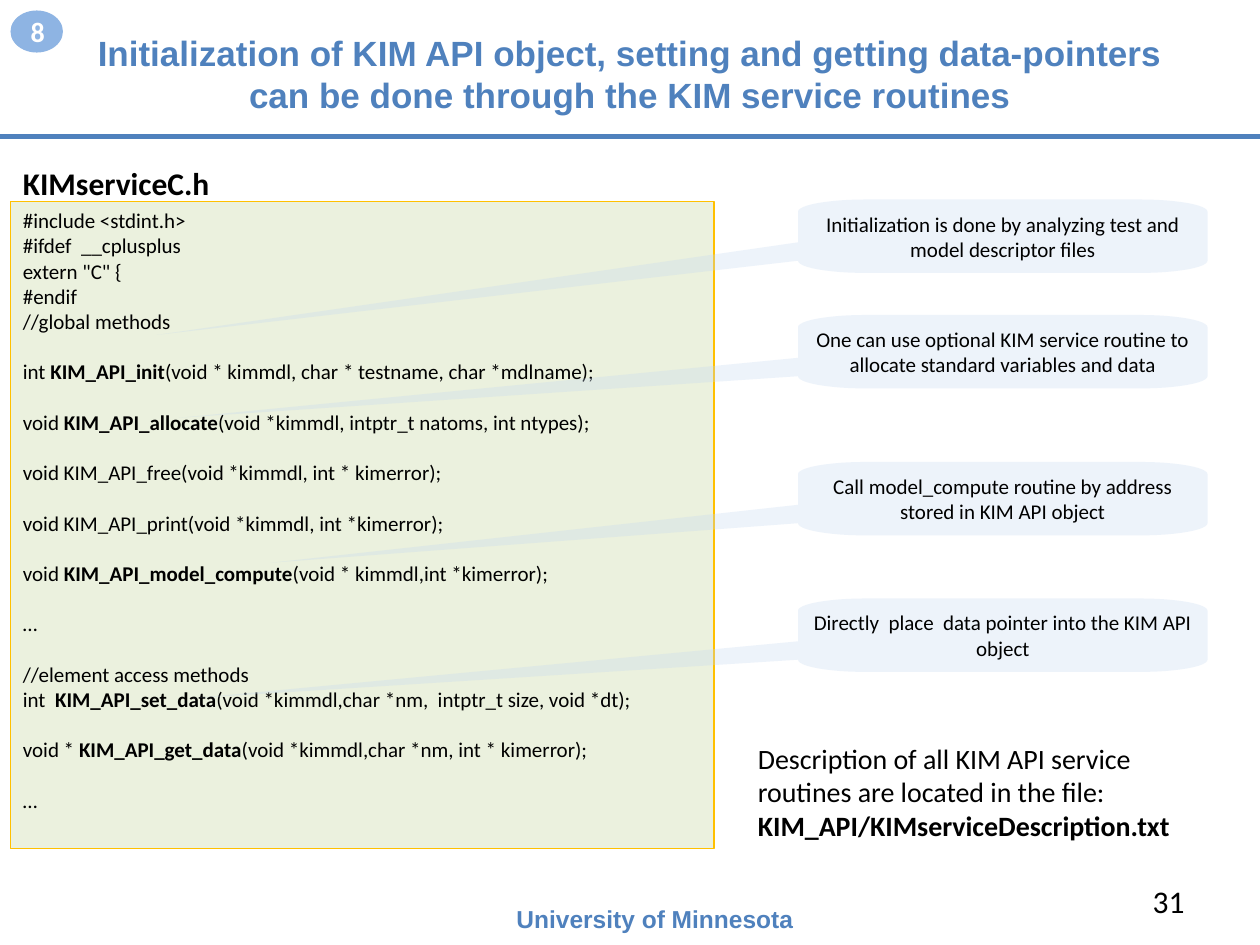
import math
from dataclasses import dataclass

from lxml import etree
from pptx import Presentation
from pptx import util as u
from pptx.dml.color import RGBColor
from pptx.enum import shapes, text
from pptx.oxml.ns import qn

BLUE = RGBColor(0x4F, 0x81, 0xBD)
BADGE = RGBColor(0x8E, 0xB4, 0xE3)
CALLOUT = RGBColor(0xC6, 0xD9, 0xF1)
CODE_FILL = RGBColor(0xEB, 0xF1, 0xDE)
CODE_LINE = RGBColor(0xFF, 0xC0, 0x00)
BLACK = RGBColor(0, 0, 0)
WHITE = RGBColor(255, 255, 255)

LEFT, CENTER, RIGHT = text.PP_ALIGN.LEFT, text.PP_ALIGN.CENTER, text.PP_ALIGN.RIGHT
TOP, MIDDLE = text.MSO_ANCHOR.TOP, text.MSO_ANCHOR.MIDDLE
COLS, ROWS = 120, 90  # grid over the whole slide


@dataclass
class Box:
    col: float
    row: float
    cols: float
    rows: float

    def emu(self) -> list[int]:
        return [grid(n) for n in (self.col, self.row, self.cols, self.rows)]


@dataclass
class Style:
    size: float
    color: RGBColor = BLACK
    name: str = "Calibri"
    bold: bool = False
    align: text.PP_ALIGN = LEFT
    anchor: text.MSO_ANCHOR = TOP


@dataclass
class Callout:
    row: float
    tip: tuple[float, float]
    label: str


def grid(n: float) -> int:
    """Length of n grid cells, which are square."""
    return round(u.Inches(10) * n / COLS)


def write(sp, blocks: list[list[str]], st: Style) -> None:
    """Write blocks of lines, one line apart; |bars| switch bold on and off."""
    tf = sp.text_frame
    for key, value in {"word_wrap": True, "vertical_anchor": st.anchor}.items():
        setattr(tf, key, value)
    p = tf.paragraphs[0]
    for b, block in enumerate(blocks):
        for i, line in enumerate(block):
            if b or i:
                p = tf.add_paragraph()
            p.alignment = st.align
            if b and not i:
                p.space_before = u.Pt(st.size * 1.2)
            for k, part in enumerate(line.split("|")):
                if not part:
                    continue
                r = p.add_run()
                r.text = part
                r.font.color.rgb = st.color
                fmt = {"name": st.name, "size": u.Pt(st.size), "bold": st.bold or k % 2 == 1}
                for key, value in fmt.items():
                    setattr(r.font, key, value)


def paint(sp, fill: RGBColor, line: RGBColor | None = None) -> None:
    sp.shadow.inherit = False
    sp.fill.solid()
    sp.fill.fore_color.rgb = fill
    if line is None:
        sp.line.fill.background()
    else:
        sp.line.color.rgb = line
        sp.line.width = u.Pt(0.75)


def add_text(s, box: Box, lines: list[str], st: Style) -> None:
    write(s.shapes.add_textbox(*box.emu()), [lines], st)


def add_panel(s, kind, box: Box, fill, line, blocks, st: Style) -> None:
    sp = s.shapes.add_shape(kind, *box.emu())
    paint(sp, fill, line)
    write(sp, blocks, st)


def callout_outline(box: Box, tip: tuple[float, float]) -> list[tuple[int, int]]:
    """Box with elliptical corners of a sixth of each side, and a tail on the left."""
    rx, ry = box.cols / 6, box.rows / 6
    x0, y0 = box.col + rx, box.row + ry
    x1, y1 = box.col + box.cols - rx, box.row + box.rows - ry
    pts = [(box.col, box.row + box.rows * 7 / 12), tip]
    for cx, cy, start in ((x0, y1, 180), (x1, y1, 90), (x1, y0, 0), (x0, y0, -90)):
        for step in range(13):
            a = math.radians(start - step * 7.5)
            pts.append((cx + rx * math.cos(a), cy + ry * math.sin(a)))
    return [(grid(x), grid(y)) for x, y in pts]


def add_callout(s, c: Callout) -> None:
    box = Box(76, c.row, 39, 7)
    pts = callout_outline(box, c.tip)
    fb = s.shapes.build_freeform(*pts[0])
    fb.add_line_segments(pts[1:], close=True)
    sp = fb.convert_to_shape()
    # Frame the body only, so that the tail reaches out of the text area
    left, top, width, height = box.emu()
    dx, dy = left - sp.left, top - sp.top
    for pt in sp.element.iter(qn("a:pt")):
        pt.set("x", str(int(pt.get("x")) - dx))
        pt.set("y", str(int(pt.get("y")) - dy))
    outline = next(sp.element.iter(qn("a:path")))
    outline.set("w", str(width))
    outline.set("h", str(height))
    frame = {"left": left, "top": top, "width": width, "height": height}
    for key, value in frame.items():
        setattr(sp, key, value)
    paint(sp, CALLOUT)
    clr = sp.element.spPr.find(qn("a:solidFill"))[0]
    etree.SubElement(clr, qn("a:alpha")).set("val", "31000")
    write(sp, [[c.label]], Style(12, align=CENTER, anchor=MIDDLE))


def add_rule(s, row: float) -> None:
    ln = s.shapes.add_connector(shapes.MSO_CONNECTOR.STRAIGHT, 0, grid(row), grid(COLS), grid(row))
    ln.line.color.rgb = BLUE
    ln.line.width = u.Pt(3)
    etree.SubElement(ln.element.spPr, qn("a:effectLst"))


CODE = [
    ["#include <stdint.h>", "#ifdef  __cplusplus", 'extern "C" {', "#endif", "//global methods"],
    ["int |KIM_API_init|(void * kimmdl, char * testname, char *mdlname);"],
    ["void |KIM_API_allocate|(void *kimmdl, intptr_t natoms, int ntypes);"],
    ["void KIM_API_free(void *kimmdl, int * kimerror);"],
    ["void KIM_API_print(void *kimmdl, int *kimerror);"],
    ["void |KIM_API_model_compute|(void * kimmdl,int *kimerror);"],
    ["…"],
    ["//element access methods",
     "int  |KIM_API_set_data|(void *kimmdl,char *nm,  intptr_t size, void *dt);"],
    ["void * |KIM_API_get_data|(void *kimmdl,char *nm, int * kimerror);"],
    ["…"],
]

CALLOUTS = [
    Callout(57, (18.4, 66.5), "Directly  place  data pointer into the KIM API object"),
    Callout(30, (17, 39.8),
            "One can use optional KIM service routine to allocate standard variables and data"),
    Callout(19, (14.9, 31.9),
            "Initialization is done by analyzing test and model descriptor files"),
    Callout(44, (25.8, 53.6), "Call model_compute routine by address stored in KIM API object"),
]


def main() -> None:
    prs = Presentation()
    prs.slide_width, prs.slide_height = grid(COLS), grid(ROWS)
    s = prs.slides.add_slide(prs.slide_layouts[6])

    # Header
    add_text(s, Box(6, 3, 108, 8),
             ["Initialization of KIM API object, setting and getting data-pointers "
              "can be done through the KIM service routines"],
             Style(20, BLUE, "Arial", True, CENTER, MIDDLE))
    add_panel(s, shapes.MSO_SHAPE.OVAL, Box(1, 1, 5, 4), BADGE, None, [["8"]],
              Style(16, WHITE, bold=True, align=CENTER, anchor=MIDDLE))
    add_rule(s, 13)

    # Footer
    add_text(s, Box(48, 85.5, 32, 4), ["University of Minnesota"], Style(14, BLUE, "Arial", True))
    add_text(s, Box(86, 83.4, 28, 4.8), ["31"], Style(18, align=RIGHT, anchor=MIDDLE))

    # Code listing and its heading
    add_panel(s, shapes.MSO_SHAPE.RECTANGLE, Box(1, 19.2, 67, 61.6), CODE_FILL, CODE_LINE,
              CODE, Style(12))
    add_text(s, Box(1, 15, 23, 4.8), ["KIMserviceC.h"], Style(18, bold=True))

    # Remarks
    add_text(s, Box(71, 70, 45, 10.8),
             ["Description of all KIM API service routines are located in the file:",
              "|KIM_API/KIMserviceDescription.txt|"], Style(16))
    for c in CALLOUTS:
        add_callout(s, c)

    prs.save("out.pptx")


if __name__ == "__main__":
    main()
